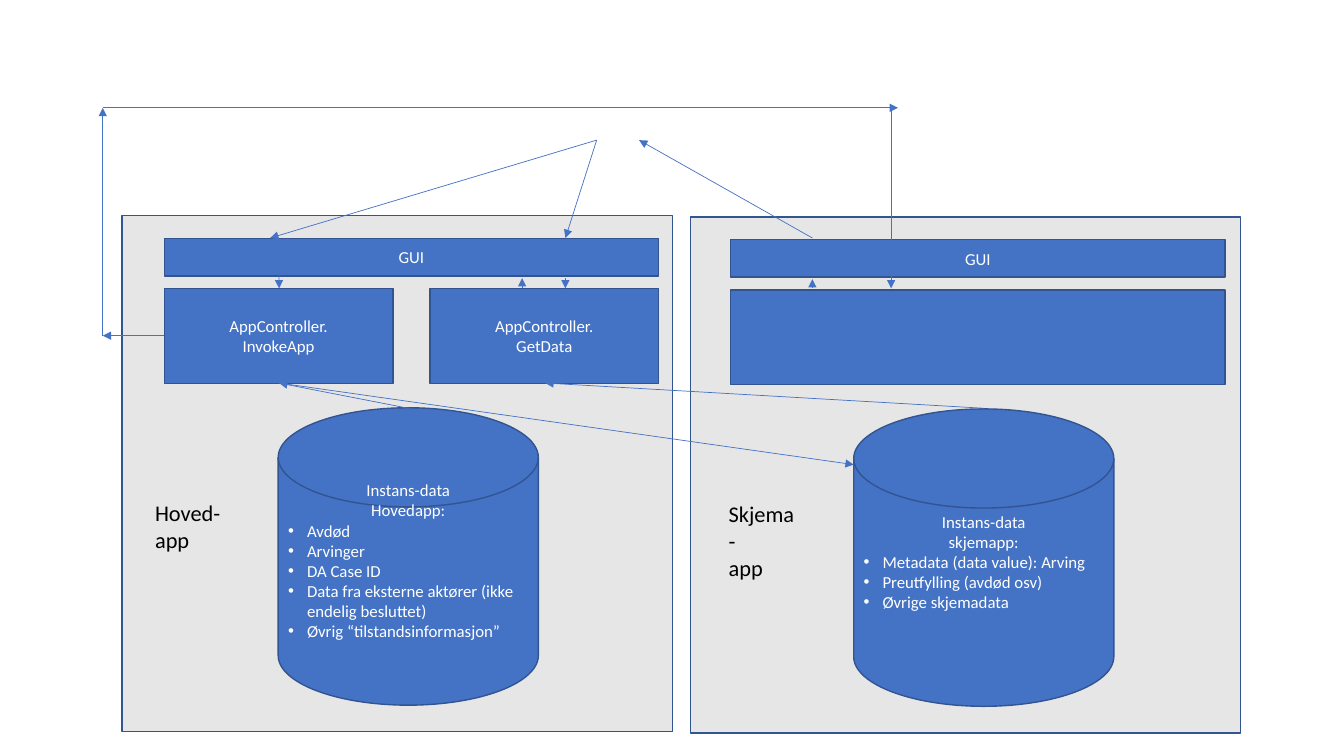
from lxml import etree
from pptx import Presentation
from pptx.dml import color
from pptx.enum import shapes, text
from pptx.oxml import ns
from pptx.util import Pt

BLUE, EDGE, GREY, WHITE, BLACK = "4472C4", "325491", "E7E6E6", "FFFFFF", "000000"
RECTANGLE = shapes.MSO_SHAPE.RECTANGLE
DISK = shapes.MSO_SHAPE.FLOWCHART_MAGNETIC_DISK
FONT = "Calibri"


def rgb(value):
    """Return the colour for a hex string."""
    return color.RGBColor.from_string(value)


def add_paragraphs(frame, lines, size, hue, align, bullets=()):
    """Write aligned lines and then bulleted ones into a text frame."""
    for index, line in enumerate([*lines, *bullets]):
        paragraph = frame.paragraphs[0] if index == 0 else frame.add_paragraph()
        paragraph.text = line
        paragraph.alignment = align
        if index >= len(lines):
            paragraph.alignment = text.PP_ALIGN.LEFT
            properties = paragraph._p.get_or_add_pPr()
            properties.set("marL", str(Pt(13.5)))
            properties.set("indent", str(-Pt(13.5)))
            etree.SubElement(properties, ns.qn("a:buFont"), typeface="Arial")
            etree.SubElement(properties, ns.qn("a:buChar"), char="•")
        paragraph.font.name = FONT
        paragraph.font.size = Pt(size)
        paragraph.font.color.rgb = rgb(hue)


def add_block(slide, kind, box, fill=BLUE, lines=(), bullets=()):
    """Draw one outlined shape with centred lines and optional bullets."""
    shape = slide.shapes.add_shape(kind, *map(Pt, box))
    shape.shadow.inherit = False
    shape.fill.solid()
    shape.fill.fore_color.rgb = rgb(fill)
    shape.line.color.rgb = rgb(EDGE)
    shape.line.width = Pt(1)
    frame = shape.text_frame
    frame.word_wrap = True
    frame.vertical_anchor = text.MSO_ANCHOR.MIDDLE
    add_paragraphs(frame, lines, 12, WHITE, text.PP_ALIGN.CENTER, bullets)
    return shape


def add_label(slide, box, lines):
    """Draw the name of an app."""
    frame = slide.shapes.add_textbox(*map(Pt, box)).text_frame
    frame.word_wrap = False
    add_paragraphs(frame, lines, 16, BLACK, text.PP_ALIGN.LEFT)


def add_app(slide, box, insets, name, controllers, heading, bullets):
    """Draw an app panel with its GUI, controllers, data store and name."""
    left, top, width, height = box
    gui_inset, disk_inset, name_inset = insets
    gui_width, gap = 353, 26.5
    add_block(slide, RECTANGLE, box, GREY)
    add_block(slide, RECTANGLE, (left + gui_inset, top + 16.2, gui_width, 26.8), lines=["GUI"])
    step = (gui_width + gap) / len(controllers)
    for index, lines in enumerate(controllers):
        place = (left + gui_inset + index * step, top + 52.2, step - gap, 67.7)
        if len(controllers) == 1:
            place = (left + gui_inset, top + 52.2, gui_width, 67.7)
        add_block(slide, RECTANGLE, place, lines=lines)
    disk_box = (left + disk_inset, top + 137.2, 185.8, 212.4)
    disk = add_block(slide, DISK, disk_box, lines=heading, bullets=bullets)
    disk.text_frame.margin_bottom = Pt(33)
    add_label(slide, (left + name_inset, top + 199, 65, 46), name)


def add_flows(slide, origin, flows):
    """Draw the arrows between the apps, measured from an origin."""
    left, top = origin
    for start_x, start_y, end_x, end_y in flows:
        arrow = slide.shapes.add_connector(
            shapes.MSO_CONNECTOR.STRAIGHT,
            Pt(left + start_x), Pt(top + start_y), Pt(left + end_x), Pt(top + end_y))
        arrow.line.color.rgb = rgb(BLUE)
        arrow.line.width = Pt(0.5)
        etree.SubElement(arrow.line._get_or_add_ln(), ns.qn("a:tailEnd"), type="triangle")
        etree.SubElement(arrow._element.spPr, ns.qn("a:effectLst"))


def main():
    """Build and save the slide."""
    presentation = Presentation()
    presentation.slide_width, presentation.slide_height = Pt(960), Pt(540)
    slide = presentation.slides.add_slide(presentation.slide_layouts[6])
    add_app(
        slide, (493.2, 154.9, 393.1, 368.6), (28.8, 116.6, 20.2),
        ["Skjema-", "app"], [[]], ["Instans-data", "skjemapp:"],
        ["Metadata (data value): Arving", "Preutfylling (avdød osv)", "Øvrige skjemadata"])
    add_app(
        slide, (87.1, 154.1, 393.1, 368.6), (30.3, 111.6, 16.6),
        ["Hoved-", "app"],
        [["AppController.", "InvokeApp"], ["AppController.", "GetData"]],
        ["Instans-data", "Hovedapp:"],
        ["Avdød", "Arvinger", "DA Case ID",
         "Data fra eksterne aktører (ikke endelig besluttet)",
         "Øvrig “tilstandsinformasjon”"])
    add_flows(slide, (0, 0), [
        (426.2, 100.1, 193, 170),
        (426.2, 100.1, 403.9, 170),
        (580.3, 170, 456.5, 100.1),
        (117.4, 239.8, 73.4, 239.8),
        (73.4, 239.8, 73.4, 77),
        (73.4, 77, 641.5, 77),
        (636.5, 77, 636.5, 206),
        (198.7, 170, 199.4, 206),
        (403.9, 198.7, 403.9, 206),
        (373, 206, 373, 198.7),
        (580.3, 206, 580.3, 199.4),
        (291.6, 291.6, 199.4, 273.6),
        (702.7, 291.6, 389.5, 273.6),
        (199.4, 273.6, 609.8, 331.9),
    ])
    presentation.save("out.pptx")


if __name__ == "__main__":
    main()
